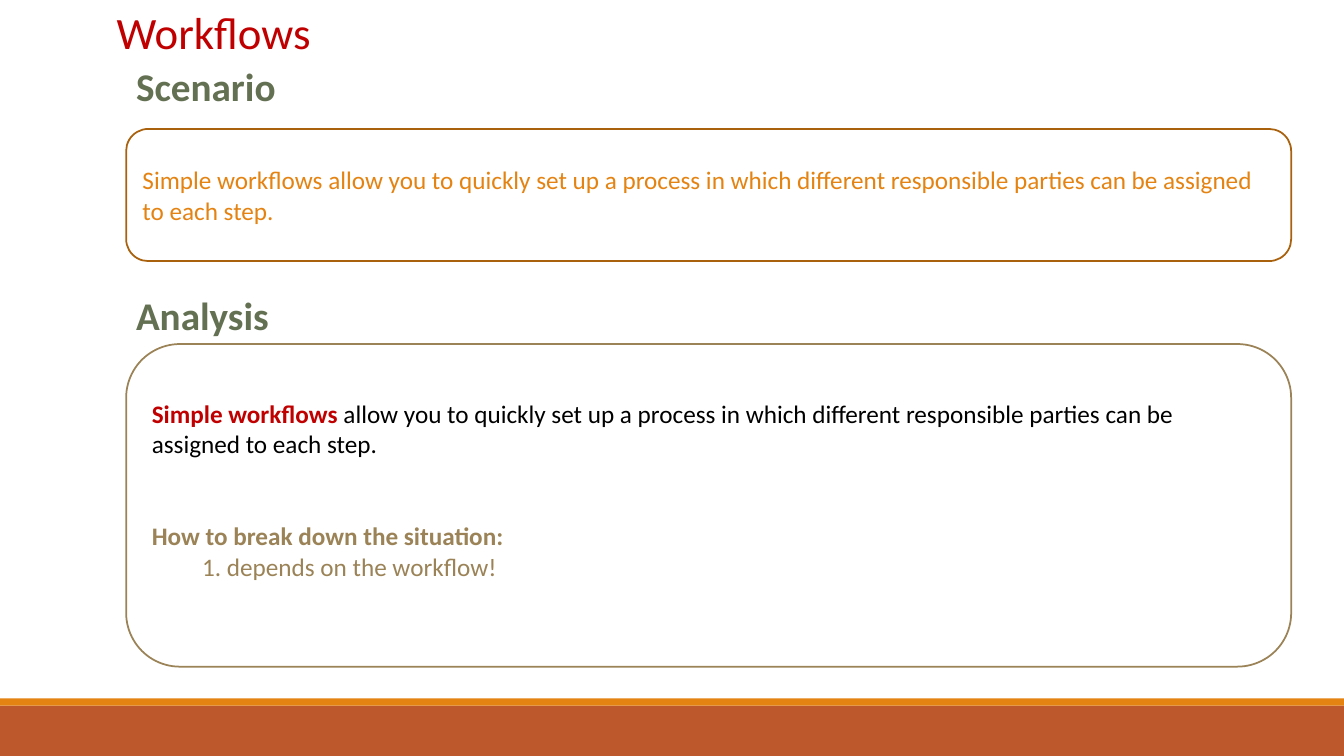
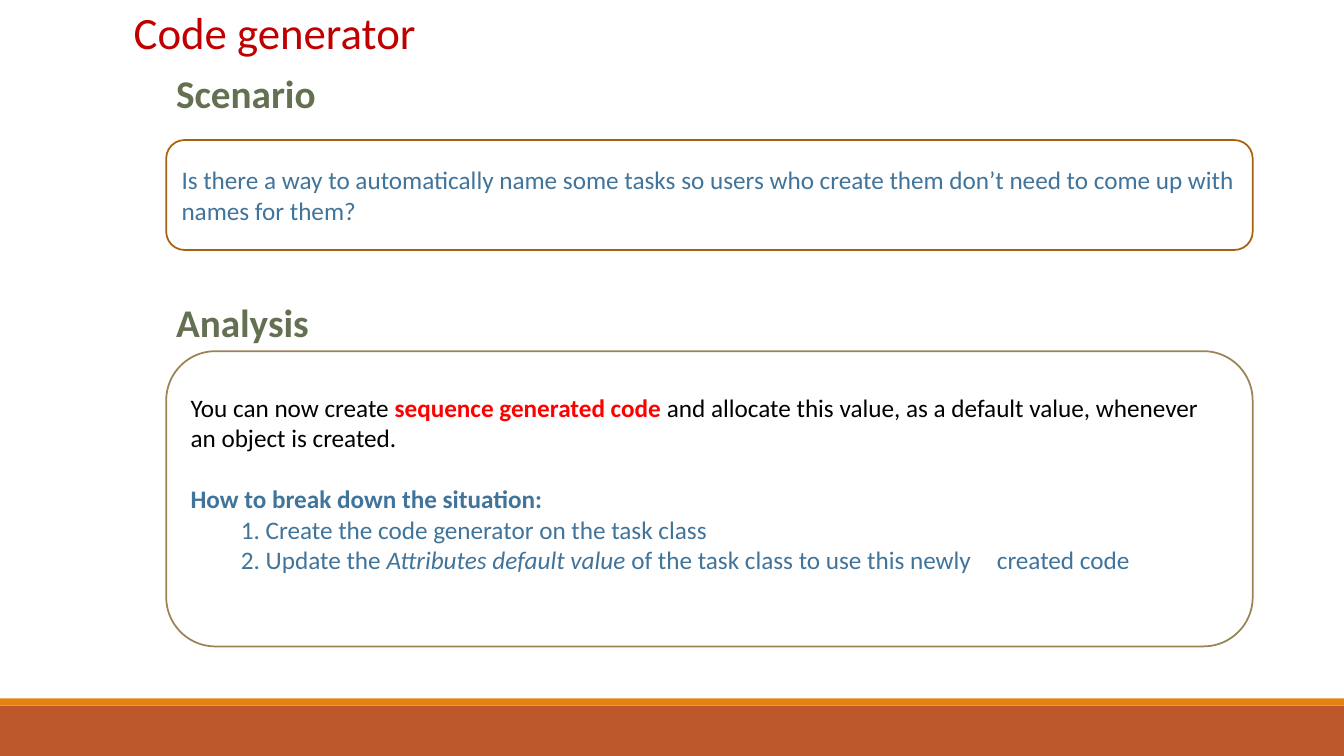
"""Build two scenario and analysis slides with a shared title style and footer bands."""
from pptx import Presentation
from pptx.dml.color import RGBColor
from pptx.enum.shapes import MSO_SHAPE
from pptx.enum.text import MSO_ANCHOR, MSO_AUTO_SIZE, PP_ALIGN
from pptx.util import Cm, Pt

COLORS = {
    "white": "FFFFFF", "black": "000000", "brick": "BD582C", "orange": "E48312",
    "crimson": "C00000", "red": "FF0000", "sage": "637052", "blue": "40749B",
    "rust": "A9610D", "tan": "9B8357",
}
TITLE = {"size": Pt(32)}
HEADING = {"size": Pt(28), "bold": True}
BODY = {"size": Pt(18)}
STRONG = BODY | {"bold": True}
EMPHASIS = BODY | {"italic": True}
SLIDE_WIDTH, SLIDE_HEIGHT = 33.87, 19.05
HEADING_HEIGHT = 1.45
ANALYSIS_DROP = 5.77
STEP_INDENT = 1.27
LINE_HEIGHT = 22

SLIDES = [
    {
        "title": "Workflows", "title_left": 2.69, "title_width": 5.72,
        "left": 3.18, "width": 29.36, "top": 1.45,
        "scenario_top": 3.25, "scenario_height": 3.33, "analysis_height": 8.13,
        "scenario": "Simple workflows allow you to quickly set up a process in which "
                    "different responsible parties can be assigned to each step.",
        "scenario_color": "orange",
        "analysis": [
            ("Simple workflows ", "crimson", STRONG),
            ("allow you to quickly set up a process in which different responsible "
             "parties can be assigned to each step.", "black", BODY),
        ],
        "gap_lines": 2, "steps_color": "tan",
        "steps": [[("1. depends on the workflow!", BODY)]],
    },
    {
        "title": "Code generator", "title_left": 3.12, "title_width": 7.7,
        "left": 4.19, "width": 27.38, "top": 1.63,
        "scenario_top": 3.53, "scenario_height": 2.77, "analysis_height": 7.44,
        "scenario": "Is there a way to automatically name some tasks so users who create "
                    "them don’t need to come up with names for them?",
        "scenario_color": "blue",
        "analysis": [
            ("You can now create ", "black", BODY),
            ("sequence generated code ", "red", STRONG),
            ("and allocate this value, as a default value, whenever an object is "
             "created.", "black", BODY),
        ],
        "gap_lines": 1, "steps_color": "blue",
        "steps": [
            [("1. Create the code generator on the task class", BODY)],
            [("2. Update the ", BODY), ("Attributes default value ", EMPHASIS),
             ("of the task class to use this newly \tcreated code", BODY)],
        ],
    },
]


def rgb(color):
    return RGBColor.from_string(COLORS[color])


def write_runs(paragraph, runs):
    paragraph.alignment = PP_ALIGN.LEFT
    for words, color, style in runs:
        run = paragraph.add_run()
        run.text = words
        for attribute, value in ({"name": "Calibri"} | style).items():
            setattr(run.font, attribute, value)
        run.font.color.rgb = rgb(color)


def add_label(slide, left, top, width, height, words, color, style):
    label = slide.shapes.add_textbox(Cm(left), Cm(top), Cm(width), Cm(height))
    frame = label.text_frame
    frame.word_wrap = False
    frame.auto_size = MSO_AUTO_SIZE.SHAPE_TO_FIT_TEXT
    write_runs(frame.paragraphs[0], [(words, color, style)])


def add_block(slide, kind, left, top, width, height, fill, outline=None):
    block = slide.shapes.add_shape(kind, Cm(left), Cm(top), Cm(width), Cm(height))
    block.shadow.inherit = False
    block.fill.solid()
    block.fill.fore_color.rgb = rgb(fill)
    if outline:
        block.line.color.rgb = rgb(outline)
        block.line.width = Pt(1.25)
    else:
        block.line.fill.background()
    return block


def add_panel(slide, left, top, width, height, outline):
    panel = add_block(slide, MSO_SHAPE.ROUNDED_RECTANGLE, left, top, width, height,
                      "white", outline)
    frame = panel.text_frame
    frame.word_wrap = True
    frame.vertical_anchor = MSO_ANCHOR.MIDDLE
    return frame


def add_bands(slide):
    for top, height, color in [(17.78, 1.27, "brick"), (17.6, 0.18, "orange")]:
        add_block(slide, MSO_SHAPE.RECTANGLE, 0, top, SLIDE_WIDTH, height, color)


def write_analysis(frame, content):
    frame.margin_bottom = Cm(0.13) + Pt(LINE_HEIGHT)
    write_runs(frame.paragraphs[0], content["analysis"])
    breakdown = frame.add_paragraph()
    breakdown.space_before = Pt(LINE_HEIGHT * content["gap_lines"])
    color = content["steps_color"]
    write_runs(breakdown, [("How to break down the situation:", color, STRONG)])
    for parts in content["steps"]:
        step = frame.add_paragraph()
        properties = step._p.get_or_add_pPr()
        for attribute in ("marL", "defTabSz"):
            properties.set(attribute, str(Cm(STEP_INDENT)))
        write_runs(step, [(words, color, style) for words, style in parts])


def add_case(slide, content):
    left, width, top = content["left"], content["width"], content["top"]
    analysis_top = top + ANALYSIS_DROP
    add_bands(slide)
    add_label(slide, content["title_left"], 0, content["title_width"], 1.63,
              content["title"], "crimson", TITLE)
    add_label(slide, left, top, 4.06, HEADING_HEIGHT, "Scenario", "sage", HEADING)
    scenario = add_panel(slide, left, content["scenario_top"], width,
                         content["scenario_height"], "rust")
    write_runs(scenario.paragraphs[0],
               [(content["scenario"], content["scenario_color"], BODY)])
    add_label(slide, left, analysis_top, 3.89, HEADING_HEIGHT, "Analysis", "sage", HEADING)
    analysis = add_panel(slide, left, analysis_top + HEADING_HEIGHT, width,
                         content["analysis_height"], "tan")
    write_analysis(analysis, content)


def main():
    deck = Presentation()
    deck.slide_width, deck.slide_height = Cm(SLIDE_WIDTH), Cm(SLIDE_HEIGHT)
    for content in SLIDES:
        add_case(deck.slides.add_slide(deck.slide_layouts[6]), content)
    deck.save("out.pptx")


if __name__ == "__main__":
    main()
